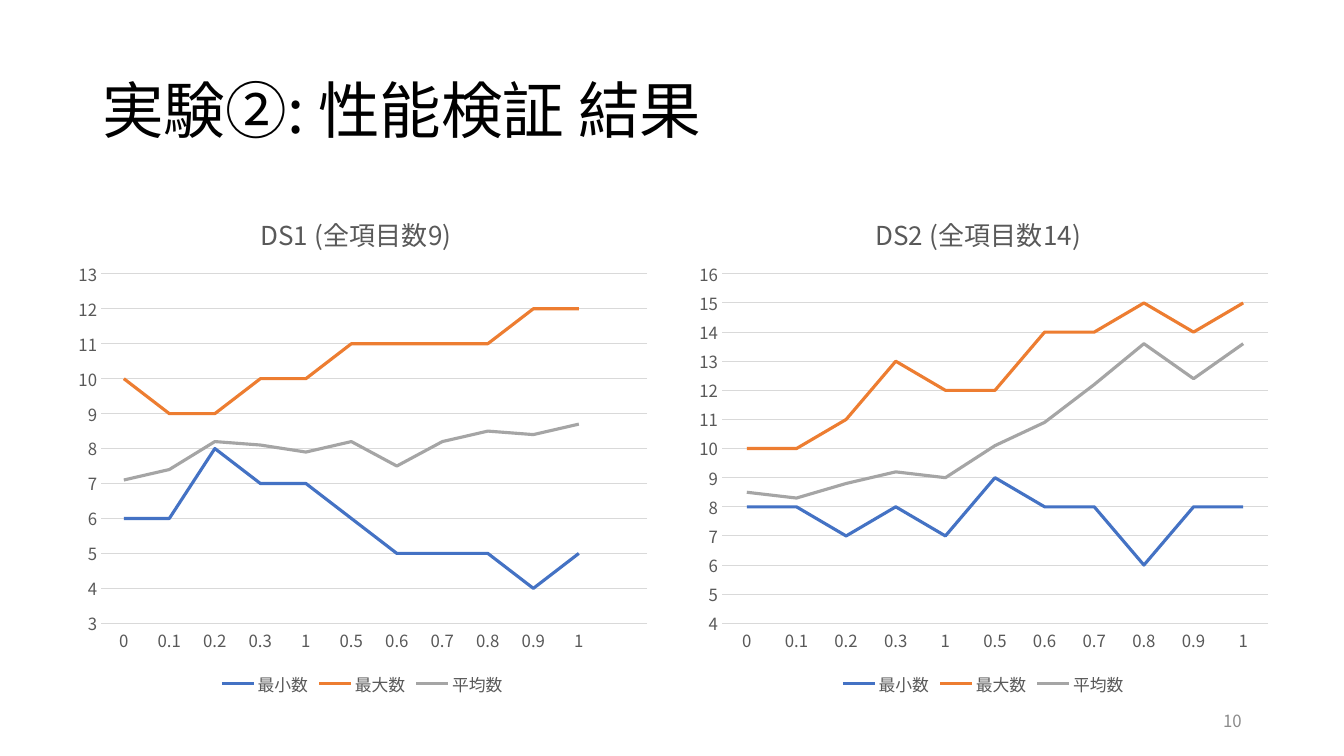
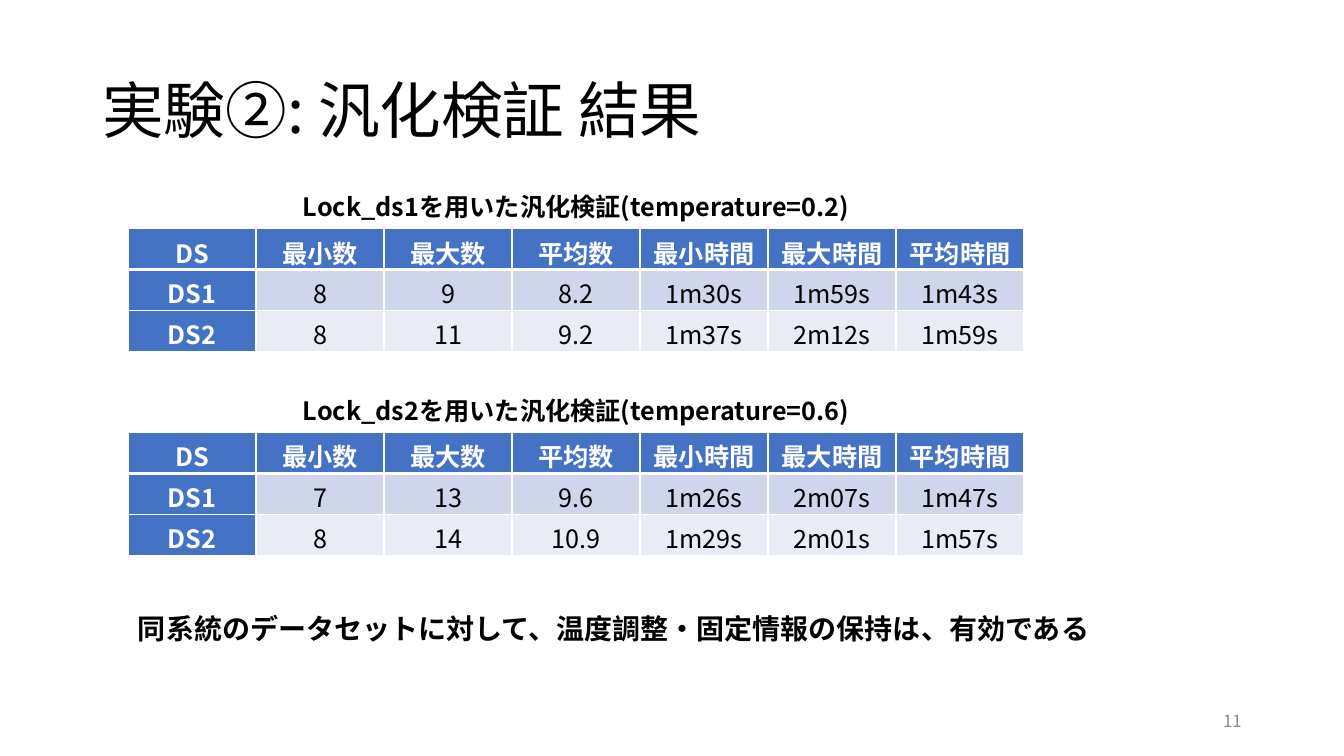
from dataclasses import dataclass
from typing import Optional

from lxml import etree
from pptx import Presentation
from pptx import util as u
from pptx.chart import data as cd
from pptx.dml import color
from pptx.enum import chart as ce
from pptx.enum import text
from pptx.oxml import ns

Pt = u.Pt
FACE = "Noto Sans CJK JP"
HEX = {
    "black": "000000", "white": "FFFFFF", "page": "8C8C8C", "label": "595959",
    "grid": "D9D9D9", "blue": "4472C4", "orange": "ED7D31", "gray": "A5A5A5",
    "dark": "CFD5EA", "light": "E9EBF5",
}
LINES = {"最小数": "blue", "最大数": "orange", "平均数": "gray"}
TEMPS = ["0", "0.1", "0.2", "0.3", "1", "0.5", "0.6", "0.7", "0.8", "0.9", "1"]
HEADS = ["DS", "最小数", "最大数", "平均数", "最小時間", "最大時間", "平均時間"]
LEFT = 91.5
WIDE = 640
CENTER = text.PP_ALIGN.CENTER


@dataclass
class Box:
    x: float
    y: float
    w: float
    h: float

    def lengths(self) -> list:
        return [Pt(v) for v in (self.x, self.y, self.w, self.h)]


@dataclass
class Plot:
    title: str
    head: float
    x: float
    low: int
    high: int
    cats: list
    rows: list


@dataclass
class Trial:
    title: str
    y: float
    rows: list


PLOTS = [
    Plot("DS1 (全項目数9)", 0.32, 46.8, 3, 13, TEMPS + [""], [
        [6, 6, 8, 7, 7, 6, 5, 5, 5, 4, 5, None],
        [10, 9, 9, 10, 10, 11, 11, 11, 11, 12, 12, None],
        [7.1, 7.4, 8.2, 8.1, 7.9, 8.2, 7.5, 8.2, 8.5, 8.4, 8.7, None],
    ]),
    Plot("DS2 (全項目数14)", 0.31, 490.3, 4, 16, TEMPS, [
        [8, 8, 7, 8, 7, 9, 8, 8, 6, 8, 8],
        [10, 10, 11, 13, 12, 12, 14, 14, 15, 14, 15],
        [8.5, 8.3, 8.8, 9.2, 9, 10.1, 10.9, 12.2, 13.6, 12.4, 13.6],
    ]),
]
TRIALS = [
    Trial("Lock_ds1を用いた汎化検証(temperature=0.2)", 133.2, [
        ["DS1", "8", "9", "8.2", "1m30s", "1m59s", "1m43s"],
        ["DS2", "8", "11", "9.2", "1m37s", "2m12s", "1m59s"],
    ]),
    Trial("Lock_ds2を用いた汎化検証(temperature=0.6)", 278.8, [
        ["DS1", "7", "13", "9.6", "1m26s", "2m07s", "1m47s"],
        ["DS2", "8", "14", "10.9", "1m29s", "2m01s", "1m57s"],
    ]),
]


def tint(name: str) -> color.RGBColor:
    return color.RGBColor.from_string(HEX[name])


def style(font, size: float, ink: str, bold: bool = False) -> None:
    """Set size, colour and weight, with one face for Latin and Japanese."""
    font.size, font.bold, font.name = Pt(size), bold, FACE
    font.color.rgb = tint(ink)
    etree.SubElement(font._element, ns.qn("a:ea"), typeface=FACE)


def write(slide, words: str, box: Box, size: float, ink: str = "black",
          bold: bool = False, align=text.PP_ALIGN.LEFT,
          anchor=text.MSO_ANCHOR.TOP, space: Optional[float] = None) -> None:
    frame = slide.shapes.add_textbox(*box.lengths()).text_frame
    frame.word_wrap, frame.vertical_anchor = True, anchor
    para = frame.paragraphs[0]
    para.text, para.alignment, para.line_spacing = words, align, space
    style(para.font, size, ink, bold)


def start(deck, title: str, page: int):
    """Add a slide with its title and page number."""
    slide = deck.slides.add_slide(deck.slide_layouts[6])
    mid = text.MSO_ANCHOR.MIDDLE
    write(slide, title, Box(66, 28.8, 828, 104.4), 44, anchor=mid, space=0.9)
    write(slide, str(page), Box(678, 500.4, 216, 28.8), 12, "page",
          align=text.PP_ALIGN.RIGHT, anchor=mid)
    return slide


def place(node, **spots: float) -> None:
    """Fix a chart part at fractions of the chart's size."""
    for old in node.findall(ns.qn("c:layout")):
        node.remove(old)
    outer = etree.Element(ns.qn("c:layout"))
    inner = etree.SubElement(outer, ns.qn("c:manualLayout"))
    if "w" in spots:
        etree.SubElement(inner, ns.qn("c:layoutTarget"), val="inner")
    for key in ("x", "y"):
        etree.SubElement(inner, ns.qn(f"c:{key}Mode"), val="edge")
    for key, val in spots.items():
        etree.SubElement(inner, ns.qn(f"c:{key}"), val=str(val))
    words = node.find(ns.qn("c:tx"))
    node.insert(0 if words is None else 1, outer)


def rule(line, ink: str, width: float) -> None:
    line.color.rgb, line.width = tint(ink), Pt(width)


def draw_plot(slide, plot: Plot) -> None:
    data = cd.CategoryChartData()
    data.categories = plot.cats
    for name, row in zip(LINES, plot.rows):
        data.add_series(name, row)
    box = Box(plot.x, 133.2, 424, 367.2)
    chart = slide.shapes.add_chart(
        ce.XL_CHART_TYPE.LINE, *box.lengths(), data).chart
    style(chart.font, 12, "label")

    chart.has_title = True
    title = chart.chart_title
    para = title.text_frame.paragraphs[0]
    para.text = plot.title
    style(para.font, 18.6, "label")
    title.include_in_layout = False
    place(title._element, x=plot.head, y=0.04)
    place(chart._chartSpace.chart.plotArea, x=0.06, y=0.17, w=0.92, h=0.68)

    chart.has_legend = True
    chart.legend.position = ce.XL_LEGEND_POSITION.BOTTOM
    chart.legend.include_in_layout = False

    cat, val = chart.category_axis, chart.value_axis
    for axis in (cat, val):
        axis.major_tick_mark = axis.minor_tick_mark = ce.XL_TICK_MARK.NONE
    rule(cat.format.line, "grid", 0.75)
    val.format.line.fill.background()
    val.minimum_scale, val.maximum_scale, val.major_unit = plot.low, plot.high, 1
    rule(val.major_gridlines.format.line, "grid", 0.75)

    chart.plots[0].vary_by_categories = False
    for line, ink in zip(chart.plots[0].series, LINES.values()):
        line.smooth = False
        line.marker.style = ce.XL_MARKER_STYLE.NONE
        rule(line.format.line, ink, 2.25)


def edge(cell, top: float, base: float) -> None:
    """Give a cell white borders, with set widths above and below."""
    props = cell._tc.get_or_add_tcPr()
    for side, width in zip("LRTB", (1, 1, top, base)):
        line = etree.SubElement(props, ns.qn(f"a:ln{side}"), w=str(Pt(width)))
        fill = etree.SubElement(line, ns.qn("a:solidFill"))
        etree.SubElement(fill, ns.qn("a:srgbClr"), val=HEX["white"])


def draw_trial(slide, trial: Trial) -> None:
    write(slide, trial.title, Box(LEFT, trial.y, WIDE, 28.8), 18,
          bold=True, align=CENTER)
    rows = [HEADS] + trial.rows
    box = Box(LEFT, trial.y + 30.2, WIDE, 29.2 * len(rows))
    table = slide.shapes.add_table(len(rows), len(HEADS), *box.lengths()).table
    for col in table.columns:
        col.width = Pt(WIDE / len(HEADS))
    for i, row in enumerate(rows):
        for j, words in enumerate(row):
            cell = table.cell(i, j)
            head = i == 0 or j == 0
            edge(cell, 3 if i == 1 else 1, 3 if i == 0 else 1)
            cell.fill.solid()
            cell.fill.fore_color.rgb = tint(
                "blue" if head else "dark" if i % 2 else "light")
            para = cell.text_frame.paragraphs[0]
            para.text, para.alignment = words, CENTER
            style(para.font, 18, "white" if head else "black", head)


def main() -> None:
    deck = Presentation()
    deck.slide_width, deck.slide_height = Pt(960), Pt(540)

    slide = start(deck, "実験②: 性能検証 結果", 10)
    for plot in PLOTS:
        draw_plot(slide, plot)

    slide = start(deck, "実験②: 汎化検証 結果", 11)
    for trial in TRIALS:
        draw_trial(slide, trial)
    write(slide, "同系統のデータセットに対して、温度調整・固定情報の保持は、有効である",
          Box(LEFT, 433.4, 770, 31.7), 20, bold=True)

    deck.save("out.pptx")


if __name__ == "__main__":
    main()
